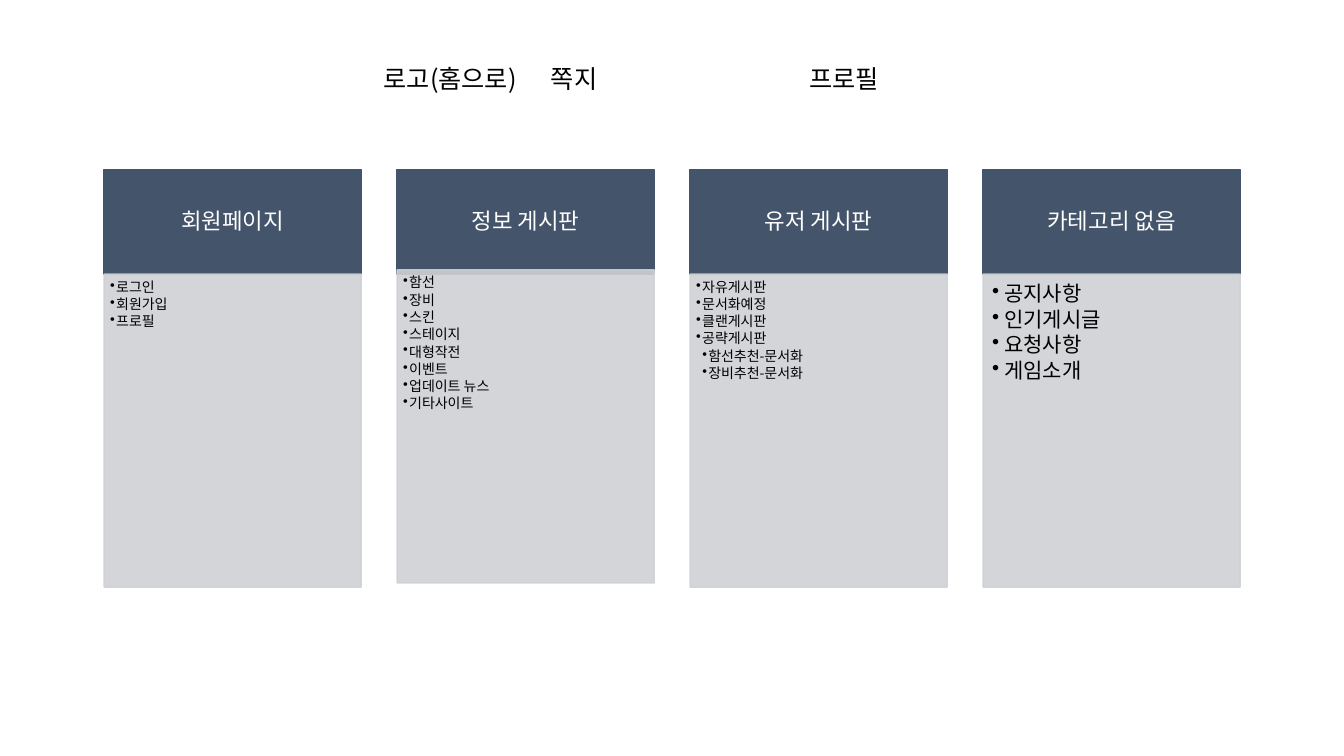
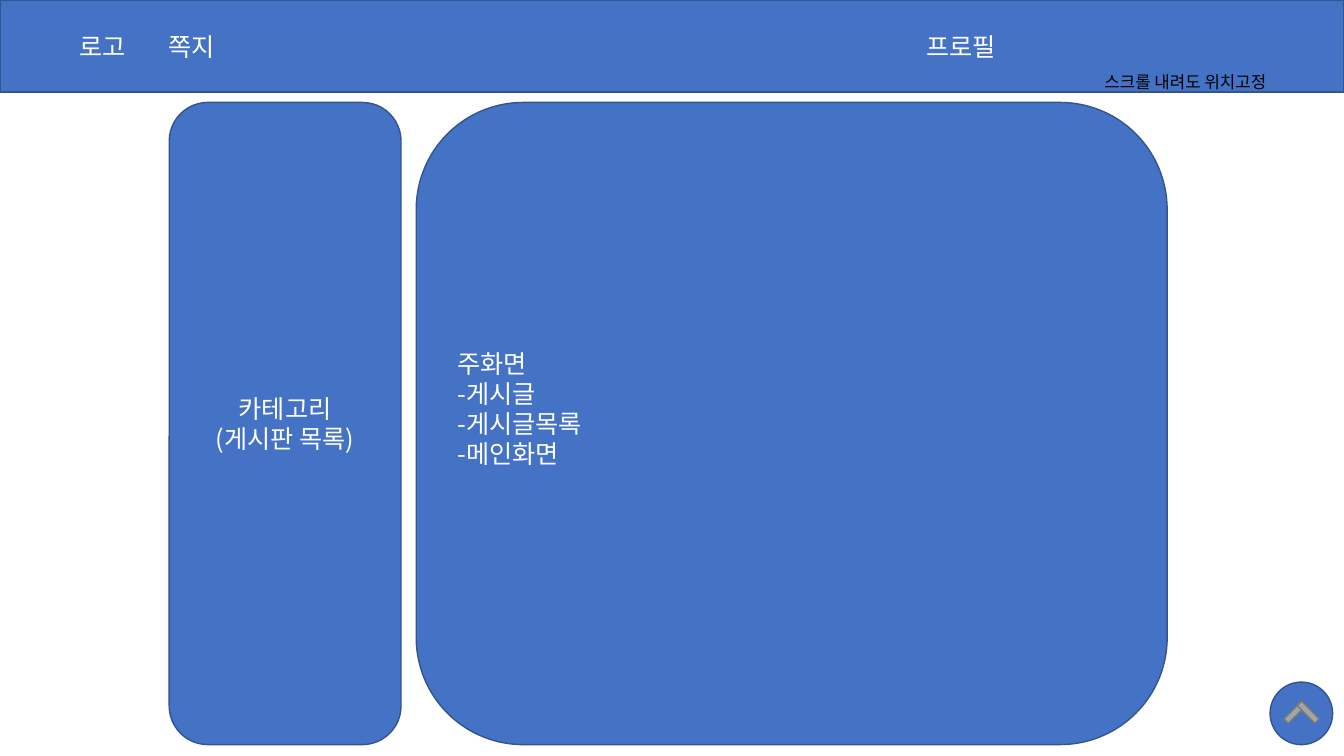
from dataclasses import dataclass

from lxml.etree import SubElement
from pptx import Presentation
from pptx.dml.color import RGBColor
from pptx.enum.shapes import MSO_SHAPE as Geometry
from pptx.enum.text import MSO_ANCHOR as Anchor, PP_ALIGN as Align
from pptx.oxml.ns import qn
from pptx.util import Inches, Pt


@dataclass(frozen=True)
class Theme:
    """Colours, font and type sizes shared by the slides."""
    font: str = "Noto Sans CJK KR"
    white: str = "FFFFFF"
    black: str = "000000"
    heading: str = "44546A"
    body: str = "CFD1D4"
    region: str = "4472C4"
    region_edge: str = "325491"
    chevron: str = "A5A5A5"
    chevron_edge: str = "7A7A7A"
    text_size: int = 18
    heading_size: int = 16
    large_list: int = 15
    note_size: int = 12
    small_list: int = 10


@dataclass(frozen=True)
class Box:
    """A rectangle in cells of a 160 by 90 grid."""
    left: float
    top: float
    width: float
    height: float

    def share(self, left, top, width, height):
        """Return the part of this box given by shares of its size."""
        return Box(self.left + left * self.width, self.top + top * self.height,
                   width * self.width, height * self.height)

    def emu(self):
        """Return position and size as slide lengths."""
        return [Inches(cells / CELLS_PER_INCH)
                for cells in (self.left, self.top, self.width, self.height)]


THEME = Theme()
CELLS_PER_INCH = 12
PAGE = Box(0, 0, 160, 90)

BOARDS = [
    ("회원페이지", ["로그인", "회원가입", "프로필"]),
    ("정보 게시판", ["함선", "장비", "스킨", "스테이지", "대형작전", "이벤트",
                "업데이트 뉴스", "기타사이트"]),
    ("유저 게시판", ["자유게시판", "문서화예정", "클랜게시판", "공략게시판",
                ["함선추천-문서화", "장비추천-문서화"]]),
    ("카테고리 없음", ["공지사항", "인기게시글", "요청사항", "게임소개"]),
]


def add_block(slide, box, geometry, fill, edge, alpha=None):
    """Add a filled, outlined shape, optionally translucent."""
    block = slide.shapes.add_shape(geometry, *box.emu())
    block.shadow.inherit = False
    block.fill.solid()
    block.line.width = Pt(1)
    for paint, colour in ((block.fill.fore_color, fill), (block.line.color, edge)):
        paint.rgb = RGBColor.from_string(colour)
    if alpha:
        for colour in block._element.spPr.iter(qn("a:srgbClr")):
            SubElement(colour, qn("a:alpha"), val=str(alpha * 1000))
    return block


def set_margins(frame, *inches):
    """Set left, top, right and bottom insets."""
    (frame.margin_left, frame.margin_top,
     frame.margin_right, frame.margin_bottom) = map(Inches, inches)


def write(frame, lines, size, colour, align=Align.LEFT, anchor=Anchor.MIDDLE):
    """Fill a text frame with one paragraph per line and format its runs."""
    frame.word_wrap = True
    frame.vertical_anchor = anchor
    frame.text = "\n".join(lines)
    for paragraph in frame.paragraphs:
        paragraph.alignment = align
        for run in paragraph.runs:
            run.font.size = Pt(size)
            run.font.name = THEME.font
            run.font.color.rgb = RGBColor.from_string(colour)
            SubElement(run._r.get_or_add_rPr(), qn("a:ea"), typeface=THEME.font)


def set_tabs(paragraph, *stops):
    """Place left tab stops, in inches from the text edge."""
    tabs = SubElement(paragraph._p.get_or_add_pPr(), qn("a:tabLst"))
    for stop in stops:
        SubElement(tabs, qn("a:tab"), pos=str(Inches(stop)), algn="l")


def set_bullet(paragraph, depth, hang):
    """Give a list entry its bullet and hanging indent."""
    paragraph.level = depth
    properties = paragraph._p.get_or_add_pPr()
    properties.set("marL", str(Inches(hang * depth)))
    properties.set("indent", str(-Inches(hang)))
    SubElement(properties, qn("a:buChar"), char="•")


def add_text(slide, box, line, size):
    """Add a free black line of text and return its paragraph."""
    frame = slide.shapes.add_textbox(*box.emu()).text_frame
    write(frame, [line], size, THEME.black, anchor=Anchor.TOP)
    return frame.paragraphs[0]


def add_board(slide, box, title, entries, size, rise=0):
    """Draw a board column: heading above a bulleted list."""
    heading = add_block(slide, box.share(0, 0, 1, 0.25), Geometry.RECTANGLE,
                        THEME.heading, THEME.heading).text_frame
    set_margins(heading, 0.12, 0.07, 0.12, 0.07)
    write(heading, [title], THEME.heading_size, THEME.white, Align.CENTER)
    heading.paragraphs[0].line_spacing = 0.9

    listing = add_block(slide, box.share(0, 0.25 - rise, 1, 0.75),
                        Geometry.RECTANGLE, THEME.body, THEME.body, 90).text_frame
    large = size == THEME.large_list
    set_margins(listing, *((0.09, 0.09, 0.12, 0.13) if large
                           else (0.06, 0.06, 0.08, 0.09)))
    nested = [(depth, text) for entry in entries
              for depth, group in [(2, entry) if isinstance(entry, list)
                                   else (1, [entry])]
              for text in group]
    write(listing, [text for _, text in nested], size, THEME.black,
          anchor=Anchor.TOP)
    for paragraph, (depth, _) in zip(listing.paragraphs, nested):
        paragraph.line_spacing = 0.9
        paragraph.space_after = Pt(0.15 * size)
        set_bullet(paragraph, depth, 0.12 if large else 0.06)


def add_region(slide, box, geometry, lines, align=Align.LEFT):
    """Draw a labelled region of the page layout and return its text frame."""
    frame = add_block(slide, box, geometry, THEME.region,
                      THEME.region_edge).text_frame
    write(frame, lines, THEME.text_size, THEME.white, align)
    return frame


def add_top_button(slide, box):
    """Draw the round button with an upward chevron."""
    add_block(slide, box, Geometry.OVAL, THEME.region, THEME.region_edge)
    for left, angle in ((0.2, 315), (0.41, 225)):
        bar = add_block(slide, box.share(left, 0.43, 0.4, 0.1),
                        Geometry.RECTANGLE, THEME.chevron, THEME.chevron_edge)
        bar.rotation = angle


def build_site_map(slide, page):
    """Lay out the menu line and the four boards."""
    width, pitch = 30.6, 34.88
    for index, (title, entries) in enumerate(BOARDS):
        box = Box(page.left + 12.4 + index * pitch, page.top + 20.2, width, 49.7)
        last = index == len(BOARDS) - 1
        add_board(slide, box, title, entries,
                  THEME.large_list if last else THEME.small_list,
                  rise=0.01 if index == 1 else 0)
    menu = add_text(slide, Box(page.left + 44.5, page.top + 7, 68.9, 4.8),
                    "로고(홈으로)\t쪽지\t프로필", THEME.text_size)
    set_tabs(menu, 1.66, 4.22)


def build_layout(slide, page):
    """Lay out the fixed header, category panel, main panel and button."""
    header = add_region(slide, Box(page.left, page.top, page.width, 10.95),
                        Geometry.RECTANGLE, ["\t로고\t쪽지\t프로필"])
    set_tabs(header.paragraphs[0], 0.69, 1.57, 9.09)
    add_top_button(slide, Box(page.left + 151.2, page.top + 81.2, 7.45, 7.45))

    top, height = page.top + 12.2, 76.45
    add_region(slide, Box(page.left + 20.15, top, 27.6, height),
               Geometry.ROUNDED_RECTANGLE, ["카테고리", "(게시판 목록)"],
               Align.CENTER)
    main = add_region(slide, Box(page.left + 49.55, top, 89.4, height),
                      Geometry.ROUNDED_RECTANGLE,
                      ["주화면", "-게시글", "-게시글목록", "-메인화면"])
    main.margin_bottom = Inches(0.35)
    add_text(slide, Box(page.left + 130.3, page.top + 7.9, 23.9, 3.6),
             "스크롤 내려도 위치고정", THEME.note_size)


def main():
    """Build and save the presentation."""
    deck = Presentation()
    deck.slide_width, deck.slide_height = PAGE.emu()[2:]
    for build in (build_site_map, build_layout):
        build(deck.slides.add_slide(deck.slide_layouts[6]), PAGE)
    deck.save("out.pptx")


main()
